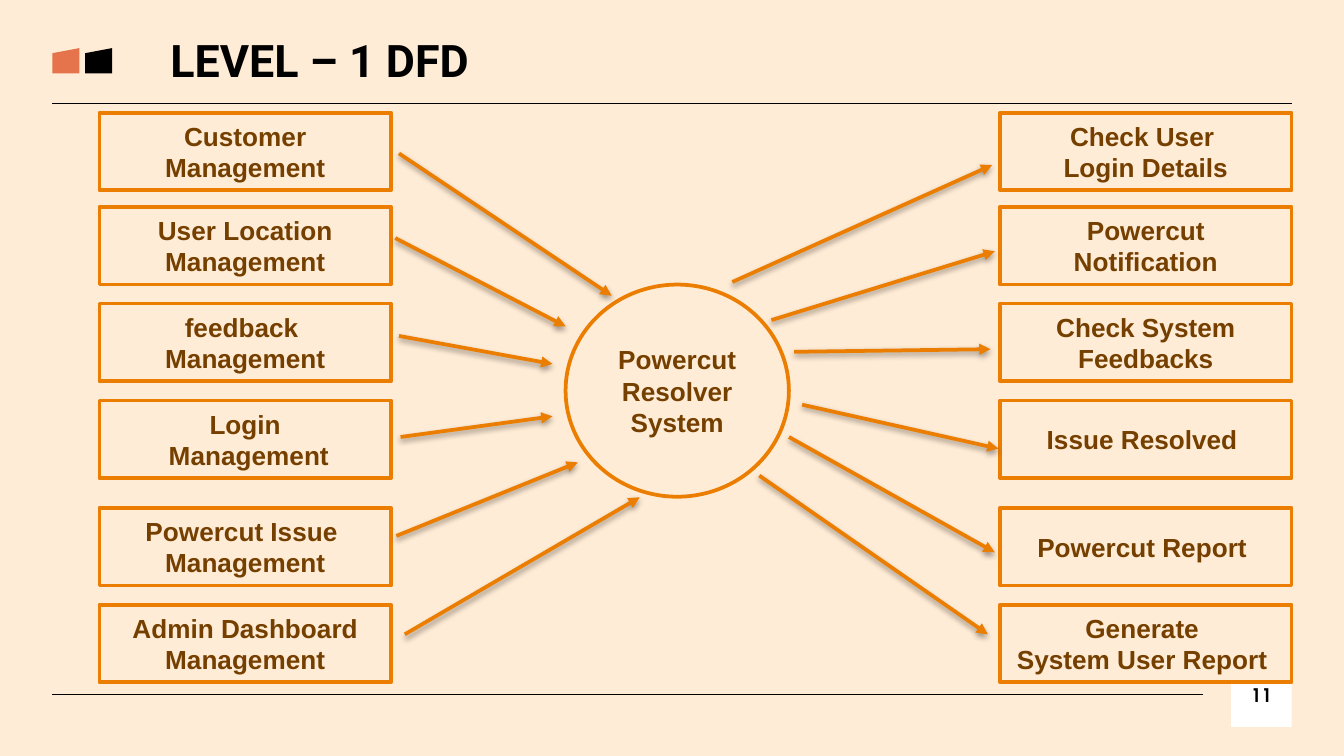
from lxml.etree import SubElement
from pptx import Presentation
from pptx.dml.color import RGBColor
from pptx.enum.shapes import MSO_CONNECTOR as Link, MSO_SHAPE as Preset
from pptx.enum.text import MSO_ANCHOR as Anchor, MSO_AUTO_SIZE as AutoSize, PP_ALIGN as Align
from pptx.oxml.ns import qn
from pptx.util import Cm, Pt

CREAM, ORANGE, BROWN, BLACK = "FFECD6", "EB7E00", "753F00", "000000"
LABEL = {"name": "Arial", "size": Pt(14), "bold": True}
TITLE = {"name": "Roboto", "size": Pt(24), "bold": True}
NUMBER = {"name": "TeX Gyre Adventor", "size": Pt(10), "bold": True}
FRAME = {"word_wrap": True, "auto_size": AutoSize.NONE}
INSETS = {f"margin_{side}": Cm(0.25) for side in ("left", "right", "top", "bottom")}

ROW_TOPS = (0, 1.78, 3.61, 5.44, 7.47, 9.3)
INPUTS = ("Customer Management", "User Location Management", "feedback \nManagement",
          "Login\n Management", "Powercut Issue \nManagement", "Admin Dashboard Management")
OUTPUTS = ("Check User \nLogin Details", "Powercut Notification", "Check System Feedbacks",
           "Issue Resolved ", "Powercut Report ", "Generate \nSystem User Report ")
INFLOWS = ((0.14, 0, 4.16, 2.69), (0.07, 1.6, 3.29, 3.27), (0.14, 3.45, 3.04, 3.98),
           (0.17, 5.36, 3.04, 4.97), (0.09, 7.23, 3.52, 5.84), (0.25, 9.09, 4.69, 6.5))
OUTFLOWS = ((0.04, 2.43, 4.95, 0.22), (0.78, 3.15, 5, 1.85), (1.21, 3.75, 4.92, 3.7),
            (1.36, 4.75, 5.07, 5.58), (1.11, 5.36, 5, 7.54), (0.55, 6.09, 4.87, 9.09))


def rgb(code):
    """Turn a hex string into a colour."""
    return RGBColor.from_string(code)


def apply(target, values):
    """Set each named value on the target."""
    for name, value in values.items():
        setattr(target, name, value)


def write(holder, text, look, color, align=Align.CENTER, anchor=Anchor.MIDDLE, frame=FRAME):
    """Fill a shape with formatted text."""
    words = holder.text_frame
    apply(words, {**frame, "vertical_anchor": anchor})
    words.text = text
    for paragraph in words.paragraphs:
        paragraph.alignment = align
        apply(paragraph.font, look)
        paragraph.font.color.rgb = rgb(color)


def add_block(slide, preset, box, fill=None, outline=None):
    """Draw a preset shape with optional fill and outline."""
    block = slide.shapes.add_shape(preset, *map(Cm, box))
    block.shadow.inherit = False
    if fill:
        block.fill.solid()
        block.fill.fore_color.rgb = rgb(fill)
    else:
        block.fill.background()
    if outline:
        block.line.color.rgb = rgb(outline)
        block.line.width = Pt(2)
    else:
        block.line.fill.background()
    return block


def add_line(slide, ends, color, weight):
    """Draw a straight line without a shadow."""
    line = slide.shapes.add_connector(Link.STRAIGHT, *map(Cm, ends))
    line.line.color.rgb = rgb(color)
    line.line.width = Pt(weight)
    SubElement(line.element.spPr, qn("a:effectLst"))
    return line


def add_arrow(slide, ends):
    """Draw an orange arrow with a soft shadow below it."""
    properties = add_line(slide, ends, ORANGE, 2).element.spPr
    SubElement(properties.find(qn("a:ln")), qn("a:tailEnd"), type="triangle")
    shadow = SubElement(properties.find(qn("a:effectLst")), qn("a:outerShdw"),
                        blurRad="40000", dist="20000", dir="5400000", rotWithShape="0")
    tint = SubElement(shadow, qn("a:srgbClr"), val=BLACK)
    SubElement(tint, qn("a:alpha"), val="38000")


def add_header(slide, box):
    """Place the emblem, title and rule in the header box."""
    left, top, width, height = box
    for offset, color in ((0, "E5744C"), (0.62, BLACK)):
        add_block(slide, Preset.FLOWCHART_MANUAL_INPUT,
                  (left + offset, top + 0.55, 0.51, 0.48), color)
    title = slide.shapes.title
    apply(title, {"left": Cm(left + 1.98), "top": Cm(top),
                  "width": Cm(7.26), "height": Cm(1.12)})
    write(title, "LEVEL – 1 DFD", TITLE, BLACK, Align.LEFT, Anchor.TOP, {**FRAME, **INSETS})
    add_line(slide, (left, top + height, left + width, top + height), BLACK, 0.75)


def add_footer(slide, box):
    """Place the rule and page number in the footer box."""
    left, top, width, height = box
    add_line(slide, (left, top + 0.58, left + width - 1.68, top + 0.58), BLACK, 0.75)
    number = add_block(slide, Preset.RECTANGLE,
                       (left + width - 1.14, top, 1.14, height), "FFFFFF")
    write(number, "11", NUMBER, BLACK, frame={**FRAME, **INSETS})


def add_system(slide, box):
    """Draw the central process."""
    system = add_block(slide, Preset.OVAL, box, outline=ORANGE)
    write(system, "Powercut Resolver System", LABEL, BROWN)


def add_column(slide, box, labels):
    """Stack labelled boxes from the top of the column box."""
    left, top, width, row_height = box
    for label, offset in zip(labels, ROW_TOPS):
        entity = add_block(slide, Preset.RECTANGLE,
                           (left, top + offset, width, row_height), CREAM, ORANGE)
        write(entity, label, LABEL, BROWN)


def add_flows(slide, corner, flows):
    """Draw arrows measured from the corner of their region."""
    left, top = corner
    for x1, y1, x2, y2 in flows:
        add_arrow(slide, (left + x1, top + y1, left + x2, top + y2))


def main():
    """Build and save the slide."""
    deck = Presentation()
    apply(deck, {"slide_width": Cm(25.4), "slide_height": Cm(14.29)})
    slide = deck.slides.add_slide(deck.slide_layouts[5])
    slide.background.fill.solid()
    slide.background.fill.fore_color.rgb = rgb(CREAM)
    add_header(slide, (0.99, 0.36, 23.42, 1.6))
    add_footer(slide, (0.99, 12.55, 23.42, 1.19))
    add_system(slide, (10.69, 5.38, 4.22, 4.01))
    add_column(slide, (1.88, 2.13, 5.51, 1.47), INPUTS)
    add_column(slide, (18.9, 2.13, 5.51, 1.47), OUTPUTS)
    add_flows(slide, (7.4, 2.9), INFLOWS)
    add_flows(slide, (13.8, 2.9), OUTFLOWS)
    deck.save("out.pptx")


if __name__ == "__main__":
    main()
